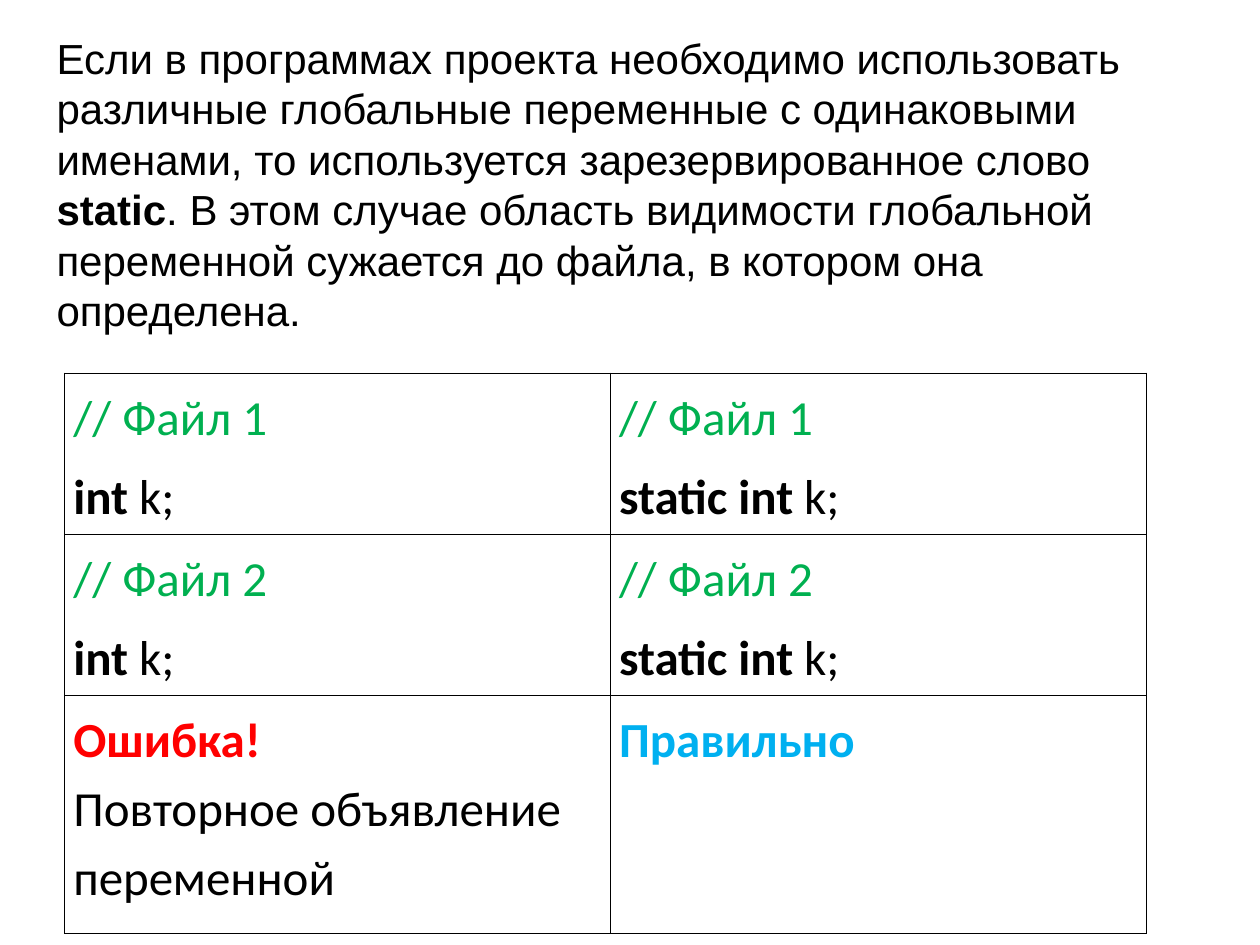
from lxml import etree
from pptx import Presentation
from pptx.dml.color import RGBColor
from pptx.enum.text import MSO_AUTO_SIZE
from pptx.oxml.ns import qn
from pptx.util import Cm, Pt

FIT_SHAPE = MSO_AUTO_SIZE.SHAPE_TO_FIT_TEXT
COLORS = {
    "text": "000000",
    "comment": "00B050",
    "error": "FF0000",
    "correct": "00B0F0",
}
INTRO = [
    ("Если в программах проекта необходимо использовать различные глобальные "
     "переменные с одинаковыми именами, то используется зарезервированное слово ", False),
    ("static", True),
    (". В этом случае область видимости глобальной переменной сужается до файла, "
     "в котором она определена.", False),
]
COLUMN_WIDTHS = [11, 10.8]
ROW_HEIGHTS = [2.95, 2.95, 4.8]


def fill_paragraph(para, spans, font_name, size, color):
    para.font.name = font_name
    para.font.size = Pt(size)
    para.font.color.rgb = RGBColor.from_string(COLORS[color])
    for text, bold in spans:
        span = para.add_run()
        span.text = text
        span.font.bold = bold


def add_intro(page, left, top, width, height):
    box = page.shapes.add_textbox(Cm(left), Cm(top), Cm(width), Cm(height))
    frame = box.text_frame
    frame.word_wrap = True
    frame.auto_size = FIT_SHAPE
    fill_paragraph(frame.paragraphs[0], INTRO, "Arial", 24, "text")


def set_borders(cell):
    properties = cell._tc.get_or_add_tcPr()
    for side in ("lnL", "lnR", "lnT", "lnB"):
        line = etree.SubElement(properties, qn(f"a:{side}"), w=str(Pt(0.45)))
        fill = etree.SubElement(line, qn("a:solidFill"))
        etree.SubElement(fill, qn("a:srgbClr"), val=COLORS["text"])


def fill_cell(cell, lines):
    cell.margin_left = cell.margin_right = Cm(0.18)
    cell.margin_top = cell.margin_bottom = Cm(0.13)
    set_borders(cell)
    cell.fill.background()
    frame = cell.text_frame
    for index, (spans, color, spacing) in enumerate(lines):
        para = frame.add_paragraph() if index else frame.paragraphs[0]
        para.line_spacing = 1.15
        if spacing:
            para.space_before = para.space_after = Pt(spacing)
        fill_paragraph(para, spans, "Calibri", 28, color)


def file_lines(number, keyword):
    return [
        ([(f"// Файл {number}", False)], "comment", 0),
        ([(keyword, True), (" k;", False)], "text", 6),
    ]


def add_comparison(page, left, top):
    rows = [[file_lines(number, keyword) for keyword in ("int", "static int")]
            for number in (1, 2)]
    rows.append([
        [([("Ошибка!", True)], "error", 0),
         ([("Повторное объявление переменной", False)], "text", 0)],
        [([("Правильно", True)], "correct", 0)],
    ])
    table = page.shapes.add_table(
        len(ROW_HEIGHTS), len(COLUMN_WIDTHS), Cm(left), Cm(top),
        Cm(sum(COLUMN_WIDTHS)), Cm(sum(ROW_HEIGHTS))).table
    table.first_row = False
    table.horz_banding = False
    for column, width in zip(table.columns, COLUMN_WIDTHS):
        column.width = Cm(width)
    for row, height, contents in zip(table.rows, ROW_HEIGHTS, rows):
        row.height = Cm(height)
        for cell, lines in zip(row.cells, contents):
            fill_cell(cell, lines)


def main():
    deck = Presentation()
    deck.slide_width = Cm(25.4)
    deck.slide_height = Cm(19.05)
    page = deck.slides.add_slide(deck.slide_layouts[6])
    add_comparison(page, 1.3, 7.52)
    add_intro(page, 0.89, 0.53, 23.8, 6.35)
    deck.save("out.pptx")


if __name__ == "__main__":
    main()
